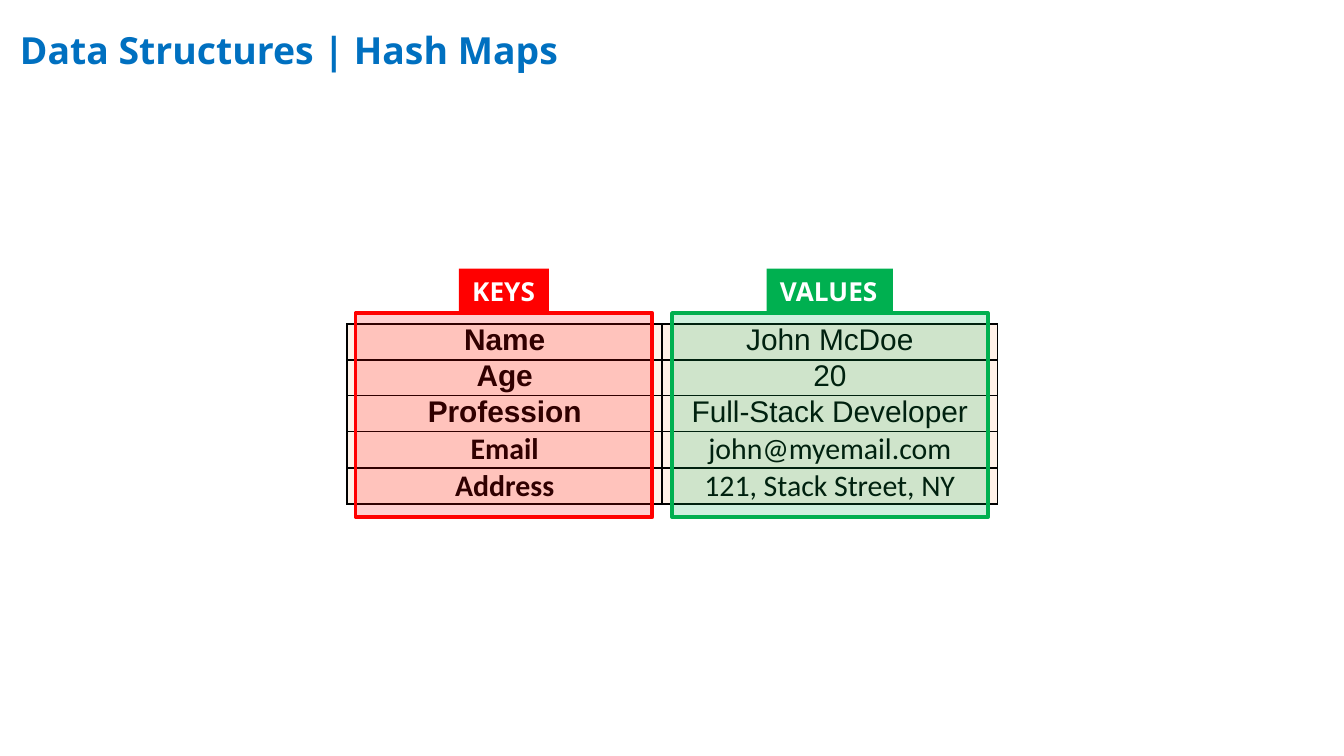
from dataclasses import dataclass

from lxml.etree import SubElement
from pptx import Presentation
from pptx.dml.color import RGBColor
from pptx.enum.shapes import MSO_SHAPE as Preset
from pptx.enum.text import MSO_ANCHOR as Anchor, MSO_AUTO_SIZE as AutoSize, PP_ALIGN as Align
from pptx.oxml import parse_xml
from pptx.oxml.ns import nsdecls, qn
from pptx.util import Pt


@dataclass(frozen=True)
class Theme:
    title_color: str = "0070C0"
    text: str = "000000"
    label_text: str = "FFFFFF"
    cell: str = "FFF1E8"
    keys: str = "FF0000"
    values: str = "00B050"
    display_font: str = "Open Sans"
    title_size: float = 20
    cell_size: float = 16
    label_size: float = 14
    highlight_alpha: int = 19


THEME = Theme()

# Content
TITLE = "Data Structures | Hash Maps"
ENTRIES = [  # key, value, font, row height
    ("Name", "John McDoe", "Arial", 17.8),
    ("Age", "20", "Arial", 17.8),
    ("Profession", "Full-Stack Developer", "Arial", 17.8),
    ("Email", "john@myemail.com", "Calibri", 19.5),
    ("Address", "121, Stack Street, NY", "Calibri", 19.5),
]
HIGHLIGHTS = [  # label, color, frame left, frame width, label width
    ("KEYS", THEME.keys, 190.5, 159, 48.2),
    ("VALUES", THEME.values, 360, 169.2, 67.7),
]

# Layout in points
TABLE_LEFT, TABLE_TOP = 186, 173.5
COLUMN_WIDTHS = (168.8, 179.6)
FRAME_TOP, FRAME_HEIGHT = 167.7, 109.4
LABEL_TOP, LABEL_HEIGHT = 144, 24.2


def write(frame, text, *, font, size, color, bold=False, align=Align.LEFT):
    paragraph = frame.paragraphs[0]
    paragraph.alignment = align
    run = paragraph.add_run()
    run.text = text
    run.font.name = font
    run.font.size = Pt(size)
    run.font.bold = bold
    run.font.color.rgb = RGBColor.from_string(color)


def set_margins(target, horizontal, vertical):
    target.margin_left = target.margin_right = Pt(horizontal)
    target.margin_top = target.margin_bottom = Pt(vertical)


def add_borders(cell):
    properties = cell._tc.get_or_add_tcPr()
    for index, side in enumerate(("lnL", "lnR", "lnT", "lnB")):
        properties.insert(index, parse_xml(
            f'<a:{side} {nsdecls("a")} w="{Pt(1)}"><a:solidFill>'
            f'<a:srgbClr val="{THEME.text}"/></a:solidFill></a:{side}>'))


def add_rectangle(slide, left, top, width, height, color):
    shape = slide.shapes.add_shape(
        Preset.RECTANGLE, Pt(left), Pt(top), Pt(width), Pt(height))
    shape.shadow.inherit = False
    shape.fill.solid()
    shape.fill.fore_color.rgb = RGBColor.from_string(color)
    return shape


presentation = Presentation()
presentation.slide_width, presentation.slide_height = Pt(720), Pt(405)
slide = presentation.slides.add_slide(presentation.slide_layouts[6])

# Title
title = slide.shapes.add_textbox(Pt(3.6), Pt(7.2), Pt(626.4), Pt(36.7)).text_frame
title.word_wrap = True
set_margins(title, 7.2, 7.2)
write(title, TITLE, font=THEME.display_font, size=THEME.title_size,
      color=THEME.title_color, bold=True)

# Table of keys and values
table = slide.shapes.add_table(
    len(ENTRIES), len(COLUMN_WIDTHS), Pt(TABLE_LEFT), Pt(TABLE_TOP),
    Pt(sum(COLUMN_WIDTHS)), Pt(sum(entry[-1] for entry in ENTRIES))).table
table.first_row = table.horz_banding = False
for column, width in zip(table.columns, COLUMN_WIDTHS):
    column.width = Pt(width)
for row, (key, value, font, height) in zip(table.rows, ENTRIES):
    row.height = Pt(height)
    for cell, text, bold in zip(row.cells, (key, value), (True, False)):
        set_margins(cell, 5, 0)
        cell.fill.solid()
        cell.fill.fore_color.rgb = RGBColor.from_string(THEME.cell)
        add_borders(cell)
        write(cell.text_frame, text, font=font, size=THEME.cell_size,
              color=THEME.text, bold=bold, align=Align.CENTER)

# Translucent column frames
for _, color, left, width, _ in HIGHLIGHTS:
    frame = add_rectangle(slide, left, FRAME_TOP, width, FRAME_HEIGHT, color)
    frame.line.color.rgb = RGBColor.from_string(color)
    frame.line.width = Pt(2)
    fill_color = frame._element.spPr.find(qn("a:solidFill"))[0]
    SubElement(fill_color, qn("a:alpha"), val=str(THEME.highlight_alpha * 1000))

# Labels centred above the frames
for text, color, left, width, label_width in HIGHLIGHTS:
    label = add_rectangle(slide, left + (width - label_width) / 2, LABEL_TOP,
                          label_width, LABEL_HEIGHT, color)
    label.line.fill.background()
    label_frame = label.text_frame
    label_frame.word_wrap = False
    label_frame.auto_size = AutoSize.SHAPE_TO_FIT_TEXT
    label_frame.vertical_anchor = Anchor.TOP
    write(label_frame, text, font=THEME.display_font, size=THEME.label_size,
          color=THEME.label_text, bold=True)

presentation.save("out.pptx")
